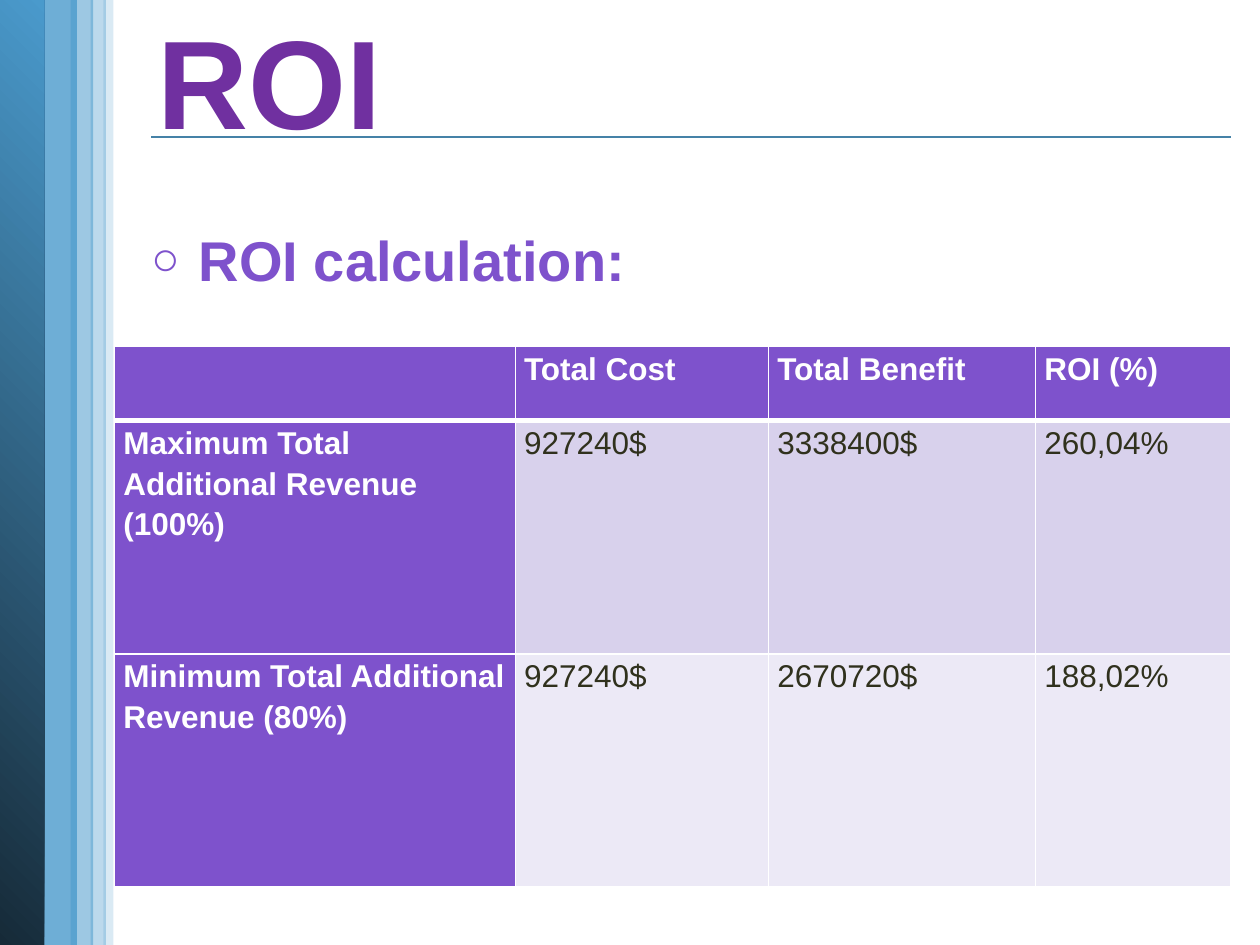
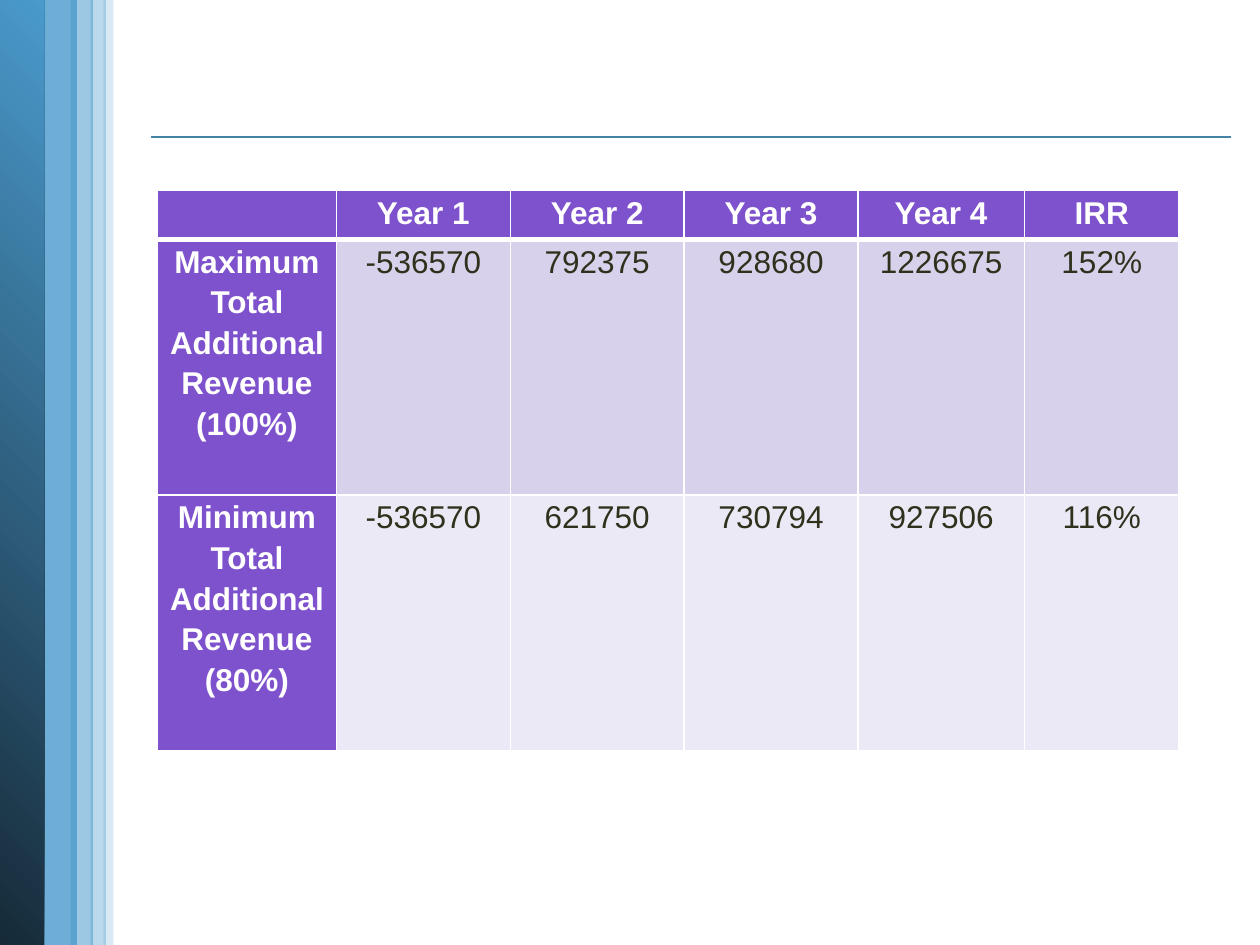
from lxml.etree import SubElement
from pptx import Presentation
from pptx.dml.color import RGBColor
from pptx.enum.shapes import MSO_CONNECTOR, MSO_SHAPE
from pptx.enum.text import MSO_ANCHOR, MSO_AUTO_SIZE, PP_ALIGN
from pptx.oxml.ns import qn
from pptx.util import Pt

PX = 9144
SLIDE_SIZE = (1000, 750)
TITLE_ONLY, BLANK = 5, 6

FONT = "Arial"
WHITE, INK = "FFFFFF", "30311D"
PURPLE, TITLE_PURPLE = "7E52CC", "7030A0"
ROW_TINTS = ("D8D1EC", "ECE9F6")
BLUE, DEEP_BLUE, RULE_BLUE = "4A9ACC", "162A38", "4582A7"

RULE = (120, 109, 977, 109)
EDGE_BAND = (-1, 0, 36, 750)
INNER_BANDS = (
    ((82, -2, 8, 752), 20),
    ((56, 0, 18, 751), 54),
    ((72, 0, 12, 752), 37),
)
OUTER_BAND = ((30, 0, 31, 753), 80)

MAXIMUM = "Maximum Total Additional Revenue (100%)"
MINIMUM = "Minimum Total Additional Revenue (80%)"
ROI_ROWS = (
    ("", "Total Cost", "Total Benefit", "ROI (%)"),
    (MAXIMUM, "927240$", "3338400$", "260,04%"),
    (MINIMUM, "927240$", "2670720$", "188,02%"),
)
IRR_ROWS = (
    ("", "Year 1", "Year 2", "Year 3", "Year 4", "IRR"),
    (MAXIMUM, "-536570", "792375", "928680", "1226675", "152%"),
    (MINIMUM, "-536570", "621750", "730794", "927506", "116%"),
)


def emu(*lengths):
    """Turn px lengths into EMU."""
    return [length * PX for length in lengths]


def rgb(color):
    """Turn a hex string into a colour."""
    return RGBColor.from_string(color)


def write(frame, text, size=18, color=INK, bold=False, align=PP_ALIGN.LEFT, spacing=None):
    """Put one formatted paragraph in a text frame and return it."""
    frame.word_wrap = True
    paragraph = frame.paragraphs[0]
    paragraph.alignment = align
    paragraph.line_spacing = spacing
    run = paragraph.add_run()
    run.text = text
    run.font.name, run.font.size, run.font.bold = FONT, Pt(size), bold
    run.font.color.rgb = rgb(color)
    return paragraph


def add_band(slide, box, opacity=None):
    """Draw one vertical band: a translucent one, or a gradient without opacity."""
    band = slide.shapes.add_shape(MSO_SHAPE.RECTANGLE, *emu(*box))
    band.shadow.inherit = False
    band.line.fill.background()
    if opacity is None:
        band.fill.gradient()
        band.fill.gradient_angle = 45
        for stop, color in zip(band.fill.gradient_stops, (DEEP_BLUE, BLUE)):
            stop.color.rgb = rgb(color)
    else:
        band.fill.solid()
        band.fill.fore_color.rgb = rgb(BLUE)
        tone = band._element.spPr.find(".//" + qn("a:srgbClr"))
        SubElement(tone, qn("a:alpha"), val=str(opacity * 1000))


def add_frame(slide):
    """Draw the rule and the bands that every slide shares."""
    rule = slide.shapes.add_connector(MSO_CONNECTOR.STRAIGHT, *emu(*RULE))
    rule.line.color.rgb = rgb(RULE_BLUE)
    rule.line.width = Pt(1)
    SubElement(rule._element.spPr, qn("a:effectLst"))
    add_band(slide, *OUTER_BAND)
    add_band(slide, EDGE_BAND)
    for box, opacity in INNER_BANDS:
        add_band(slide, box, opacity)


def set_title(slide, text, box):
    """Move the title placeholder to its box and fill it."""
    title = slide.shapes.title
    title.left, title.top, title.width, title.height = emu(*box)
    title.text_frame.auto_size = MSO_AUTO_SIZE.NONE
    title.text_frame.vertical_anchor = MSO_ANCHOR.MIDDLE
    write(title.text_frame, text, size=72, color=TITLE_PURPLE, bold=True)


def add_bullet(slide, text, box):
    """Write a line with a hollow round bullet."""
    frame = slide.shapes.add_textbox(*emu(*box)).text_frame
    paragraph = write(frame, text, size=32, color=PURPLE, bold=True)
    paragraph.space_before = Pt(3)
    properties = paragraph._p.get_or_add_pPr()
    indent = 38 * PX
    properties.set("marL", str(indent))
    properties.set("indent", str(-indent))
    SubElement(properties, qn("a:buSzPct"), val="85000")
    SubElement(properties, qn("a:buFont"), typeface=FONT)
    SubElement(properties, qn("a:buChar"), char="○")


def set_borders(cell, top, bottom):
    """Give a cell white borders, with the top and bottom widths in points."""
    properties = cell._tc.get_or_add_tcPr()
    for side, width in (("L", 1), ("R", 1), ("T", top), ("B", bottom)):
        border = SubElement(properties, qn(f"a:ln{side}"), w=str(Pt(width)))
        fill = SubElement(border, qn("a:solidFill"))
        SubElement(fill, qn("a:srgbClr"), val=WHITE)


def add_revenue_table(slide, rows, origin, widths, heights, align):
    """Build a table with a purple header row and a purple label column."""
    box = emu(*origin, sum(widths), sum(heights))
    table = slide.shapes.add_table(len(rows), len(widths), *box).table
    for column, width in zip(table.columns, emu(*widths)):
        column.width = width
    for row, height in zip(table.rows, emu(*heights)):
        row.height = height
    for r, values in enumerate(rows):
        for c, value in enumerate(values):
            cell = table.cell(r, c)
            heading = r == 0 or c == 0
            cell.margin_left = cell.margin_right = 7 * PX
            cell.margin_top = cell.margin_bottom = 0
            set_borders(cell, top=3 if r == 1 else 1, bottom=3 if r == 0 else 1)
            cell.fill.solid()
            cell.fill.fore_color.rgb = rgb(PURPLE if heading else ROW_TINTS[r - 1])
            if value:
                write(cell.text_frame, value, color=WHITE if heading else INK,
                      bold=heading, align=align, spacing=1.15)


def add_roi_slide(deck):
    """Build the slide with the ROI calculation."""
    slide = deck.slides.add_slide(deck.slide_layouts[TITLE_ONLY])
    add_frame(slide)
    add_bullet(slide, "ROI calculation:", (110, 174, 871, 73))
    set_title(slide, "ROI", (115, 7, 870, 111))
    add_revenue_table(slide, ROI_ROWS, (91, 275), (318, 201, 212, 155),
                      (59, 185, 185), PP_ALIGN.LEFT)


def add_irr_slide(deck):
    """Build the slide with the yearly flows and the IRR."""
    slide = deck.slides.add_slide(deck.slide_layouts[BLANK])
    add_frame(slide)
    add_revenue_table(slide, IRR_ROWS, (125, 151), (142, 138, 138, 138, 132, 123),
                      (39, 203, 203), PP_ALIGN.CENTER)


def main():
    """Build and save the deck."""
    deck = Presentation()
    deck.slide_width, deck.slide_height = emu(*SLIDE_SIZE)
    add_roi_slide(deck)
    add_irr_slide(deck)
    deck.save("out.pptx")


if __name__ == "__main__":
    main()
